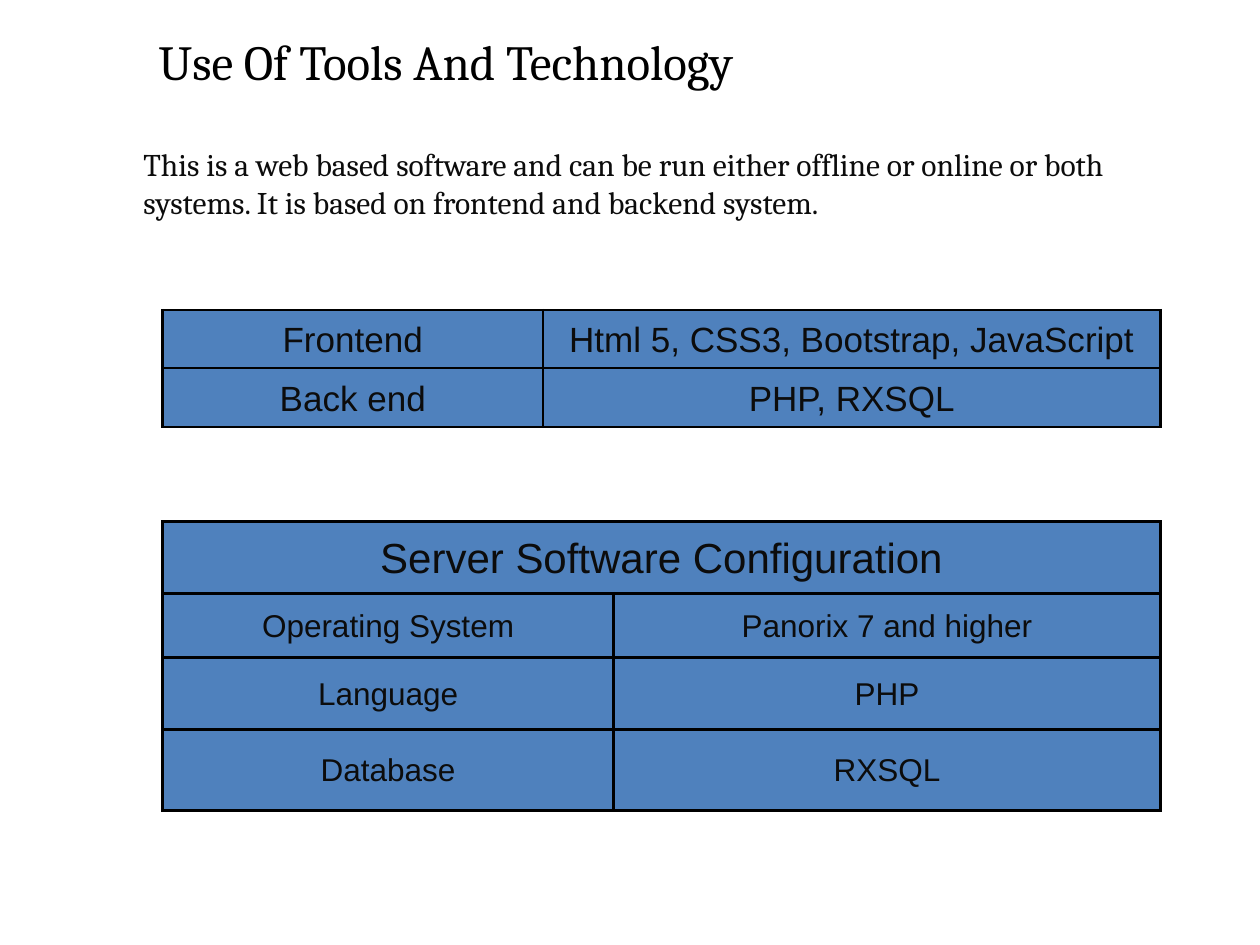
from dataclasses import dataclass

from lxml import etree
from pptx import Presentation
from pptx.dml.color import RGBColor
from pptx.enum import text
from pptx.oxml import ns
from pptx.util import Inches, Pt


@dataclass(frozen=True)
class Theme:
    serif: str = "Cambria"
    sans: str = "Arial"
    black: str = "000000"
    ink: str = "0C0C0C"
    blue: str = "4F81BD"
    title: int = 28
    body: int = 18
    stack: int = 20
    heading: int = 24


THEME = Theme()


def style_text(tf, content, font, size, color):
    tf.text = content
    tf.word_wrap = True
    p = tf.paragraphs[0]
    for r in p.runs:
        r.font.name = font
        r.font.size = Pt(size)
        r.font.color.rgb = RGBColor.from_string(color)
    return p


def add_title(s, box, content):
    sp = s.shapes.title
    sp.left, sp.top, sp.width, sp.height = map(Inches, box)
    sp.text_frame.vertical_anchor = text.MSO_ANCHOR.TOP
    p = style_text(sp.text_frame, content, THEME.serif, THEME.title, THEME.black)
    p.alignment = text.PP_ALIGN.LEFT


def add_intro(s, box, content):
    sp = s.shapes.add_textbox(*map(Inches, box))
    style_text(sp.text_frame, content, THEME.serif, THEME.body, THEME.ink)


def set_borders(cell, width):
    tc_pr = cell._tc.get_or_add_tcPr()
    for i, side in enumerate(("lnL", "lnR", "lnT", "lnB")):
        ln = etree.Element(ns.qn(f"a:{side}"), w=str(Pt(width)))
        fill = etree.SubElement(ln, ns.qn("a:solidFill"))
        etree.SubElement(fill, ns.qn("a:srgbClr"), val=THEME.black)
        tc_pr.insert(i, ln)


def format_cell(cell, content, size, border):
    cell.fill.solid()
    cell.fill.fore_color.rgb = RGBColor.from_string(THEME.blue)
    cell.vertical_anchor = text.MSO_ANCHOR.MIDDLE
    cell.margin_left = cell.margin_right = Inches(0.07)
    cell.margin_top = cell.margin_bottom = Inches(0.05)
    p = style_text(cell.text_frame, content, THEME.sans, size, THEME.ink)
    p.alignment = text.PP_ALIGN.CENTER
    p.line_spacing = 1.07
    set_borders(cell, border)


def add_grid(s, left, top, widths, heights, rows, size, border, heading=None):
    if heading:
        rows = [(heading, "")] + rows
    box = (left, top, sum(widths), sum(heights))
    table = s.shapes.add_table(len(rows), len(widths), *map(Inches, box)).table
    table.first_row = table.horz_banding = False
    for column, width in zip(table.columns, widths):
        column.width = Inches(width)
    for i, (row, height) in enumerate(zip(rows, heights)):
        table.rows[i].height = Inches(height)
        for j, content in enumerate(row):
            cell_size = THEME.heading if heading and i == 0 else size
            format_cell(table.cell(i, j), content, cell_size, border)
    if heading:
        table.cell(0, 0).merge(table.cell(0, len(widths) - 1))


def build_slide(prs):
    s = prs.slides.add_slide(prs.slide_layouts[5])
    add_title(s, (1.16, 0.2, 8.83, 1.25), "Use Of Tools And Technology")
    add_intro(
        s,
        (1.04, 1.1, 7.93, 1),
        "This is a web based software and can be run either offline or online "
        "or both systems. It is based on frontend and backend system.",
    )
    add_grid(
        s, 1.29, 2.46, (3.02, 4.9), (0.46, 0.47),
        [
            ("Frontend", "Html 5, CSS3, Bootstrap, JavaScript"),
            ("Back end", "PHP, RXSQL"),
        ],
        THEME.stack, 1.47,
    )
    add_grid(
        s, 1.29, 4.14, (3.58, 4.34), (0.57, 0.51, 0.57, 0.64),
        [
            ("Operating System", "Panorix 7 and higher"),
            ("Language", "PHP"),
            ("Database", "RXSQL"),
        ],
        THEME.body, 1.98, heading="Server Software Configuration",
    )


def main():
    prs = Presentation()
    prs.slide_width, prs.slide_height = Inches(10), Inches(7.5)
    build_slide(prs)
    prs.save("out.pptx")


if __name__ == "__main__":
    main()
